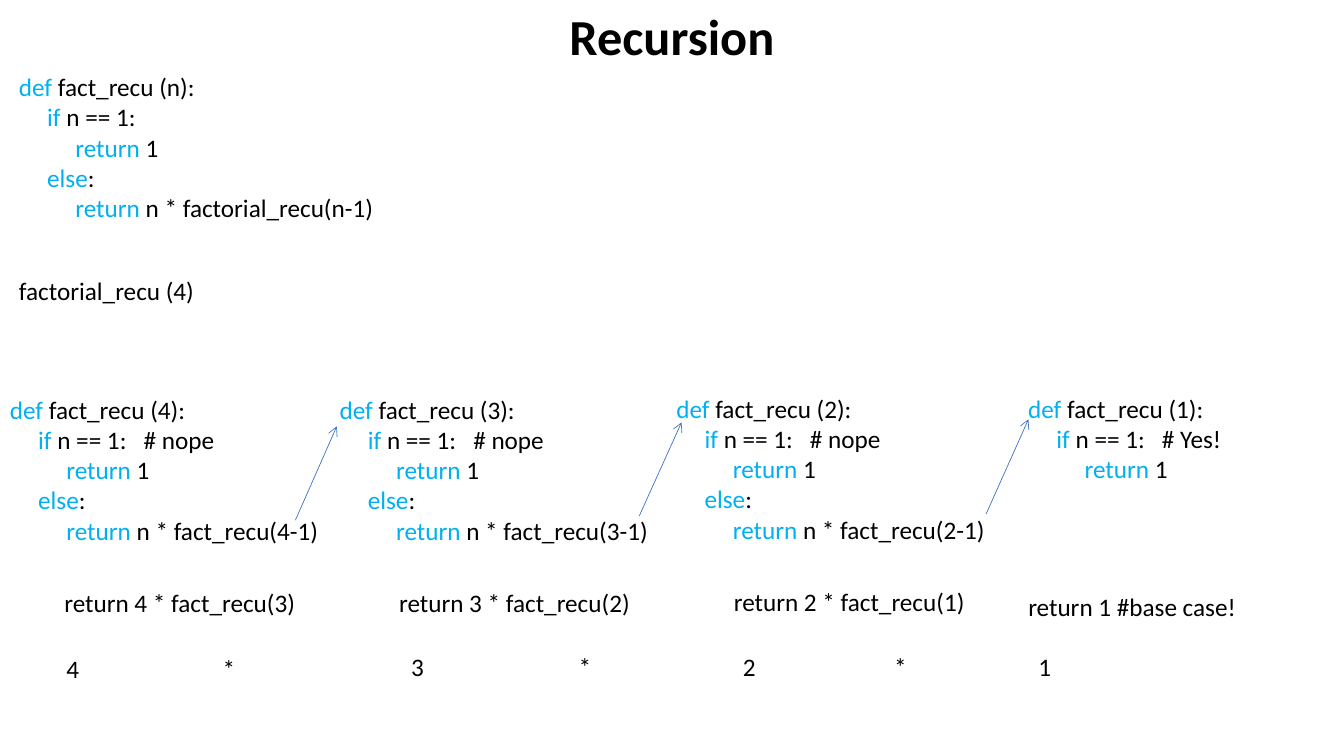
from typing import NamedTuple

from lxml.etree import SubElement
from pptx import Presentation
from pptx.dml.color import RGBColor
from pptx.enum.shapes import MSO_CONNECTOR as Connector
from pptx.enum.text import MSO_AUTO_SIZE as AutoSize, PP_ALIGN as Align
from pptx.oxml.ns import qn
from pptx.util import Inches, Pt

BLACK = RGBColor(0x00, 0x00, 0x00)
KEYWORD_BLUE = RGBColor(0x00, 0xB0, 0xF0)
ARROW_BLUE = RGBColor(0x44, 0x72, 0xC4)
FONT = "Calibri"
INDENT = 0.28
CODE_WIDTH = 3.92
CODE_HEIGHT = 1.62
LINE_HEIGHT = 0.4


class CodeLine(NamedTuple):
    """A line of code that opens with a keyword."""
    depth: int
    keyword: str
    rest: str


class Call(NamedTuple):
    """One level of the recursion: its code, its result and its factor."""
    n: int
    code_at: tuple[float, float]
    result_at: tuple[float, float]
    factor_at: tuple[float, float]
    star_tab: float = 0


class Arrow(NamedTuple):
    """An arrow from a recursive call to the next level."""
    start: tuple[float, float]
    end: tuple[float, float]


CALLS = [
    Call(4, (0, 3.86), (0.54, 5.78), (0.56, 6.43), 1.55),
    Call(3, (3.27, 3.86), (3.86, 5.78), (3.98, 6.41), 1.66),
    Call(2, (6.61, 3.85), (7.18, 5.77), (7.27, 6.41), 1.5),
    Call(1, (10.1, 3.85), (10.1, 5.82), (10.2, 6.41)),
]
ARROWS = [
    Arrow((2.93, 5.16), (3.34, 4.23)),
    Arrow((6.34, 5.12), (6.76, 4.19)),
    Arrow((9.78, 5.1), (10.2, 4.16)),
]


def add_box(page, at: tuple[float, float], width: float, height: float,
            wrap: bool = True):
    """Add an empty text box and return its text frame."""
    box = page.shapes.add_textbox(*map(Inches, (*at, width, height)))
    frame = box.text_frame
    frame.word_wrap = wrap
    frame.auto_size = AutoSize.SHAPE_TO_FIT_TEXT
    return frame


def style(para, size: int = 18, bold: bool = False) -> None:
    """Set the font shared by all runs of a paragraph."""
    para.font.name = FONT
    para.font.size = Pt(size)
    para.font.bold = bold
    para.font.color.rgb = BLACK


def add_text(page, text: str, at: tuple[float, float], width: float,
             star_tab: float = 0) -> None:
    """Add one line of text, with a tab stop if one is given."""
    para = add_box(page, at, width, LINE_HEIGHT, wrap=False).paragraphs[0]
    para.text = text
    if star_tab:
        stops = SubElement(para._p.get_or_add_pPr(), qn("a:tabLst"))
        SubElement(stops, qn("a:tab"), pos=str(Inches(star_tab)), algn="l")
    style(para)


def add_code(page, lines: list[CodeLine], at: tuple[float, float],
             width: float) -> None:
    """Add a block of code with coloured keywords."""
    frame = add_box(page, at, width, CODE_HEIGHT)
    for index, line in enumerate(lines):
        para = frame.add_paragraph() if index else frame.paragraphs[0]
        para._p.get_or_add_pPr().set("marL", str(Inches(line.depth * INDENT)))
        style(para)
        for text, color in ((line.keyword, KEYWORD_BLUE), (line.rest, BLACK)):
            span = para.add_run()
            span.text = text
            span.font.color.rgb = color


def function_code(argument: str, comment: str = "",
                  recursive_call: str = "") -> list[CodeLine]:
    """Return the factorial function, cut short if it does not recurse."""
    lines = [
        CodeLine(0, "def", f" fact_recu ({argument}):"),
        CodeLine(1, "if", f" n == 1:{comment}"),
        CodeLine(2, "return", " 1"),
    ]
    if recursive_call:
        lines += [CodeLine(1, "else", ":"),
                  CodeLine(2, "return", f" n * {recursive_call}")]
    return lines


def add_call(page, call: Call) -> None:
    """Draw the code, the result and the factor of one level."""
    n = call.n
    if n > 1:
        code = function_code(str(n), "   # nope", f"fact_recu({n}-1)")
        result, factor = f"return {n} * fact_recu({n - 1})", f"{n}\t*"
    else:
        code = function_code(str(n), "   # Yes!")
        result, factor = f"return {n} #base case!", str(n)
    width = min(CODE_WIDTH, 13.33 - call.code_at[0])
    add_code(page, code, call.code_at, width)
    add_text(page, result, call.result_at, 2.57 if n > 1 else 2.29)
    add_text(page, factor, call.factor_at, call.star_tab + 0.33, call.star_tab)


def add_arrow(page, arrow: Arrow) -> None:
    """Draw a thin line with an open arrowhead at its end."""
    line = page.shapes.add_connector(
        Connector.STRAIGHT, *map(Inches, (*arrow.start, *arrow.end)))
    line.line.color.rgb = ARROW_BLUE
    line.line.width = Pt(0.5)
    SubElement(line.line._get_or_add_ln(), qn("a:tailEnd"), type="arrow")
    SubElement(line._element.spPr, qn("a:effectLst"))


deck = Presentation()
deck.slide_width, deck.slide_height = Inches(13.33), Inches(7.5)
page = deck.slides.add_slide(deck.slide_layouts[6])

title = add_box(page, (0, 0), 13.33, 0.71).paragraphs[0]
title.text = "Recursion"
title.alignment = Align.CENTER
style(title, 36, bold=True)

add_code(page, function_code("n", recursive_call="factorial_recu(n-1)"),
         (0.09, 0.66), 6.67)
add_text(page, "factorial_recu (4)", (0.09, 2.68), 1.96)
for call in CALLS:
    add_call(page, call)
for arrow in ARROWS:
    add_arrow(page, arrow)

deck.save("out.pptx")
